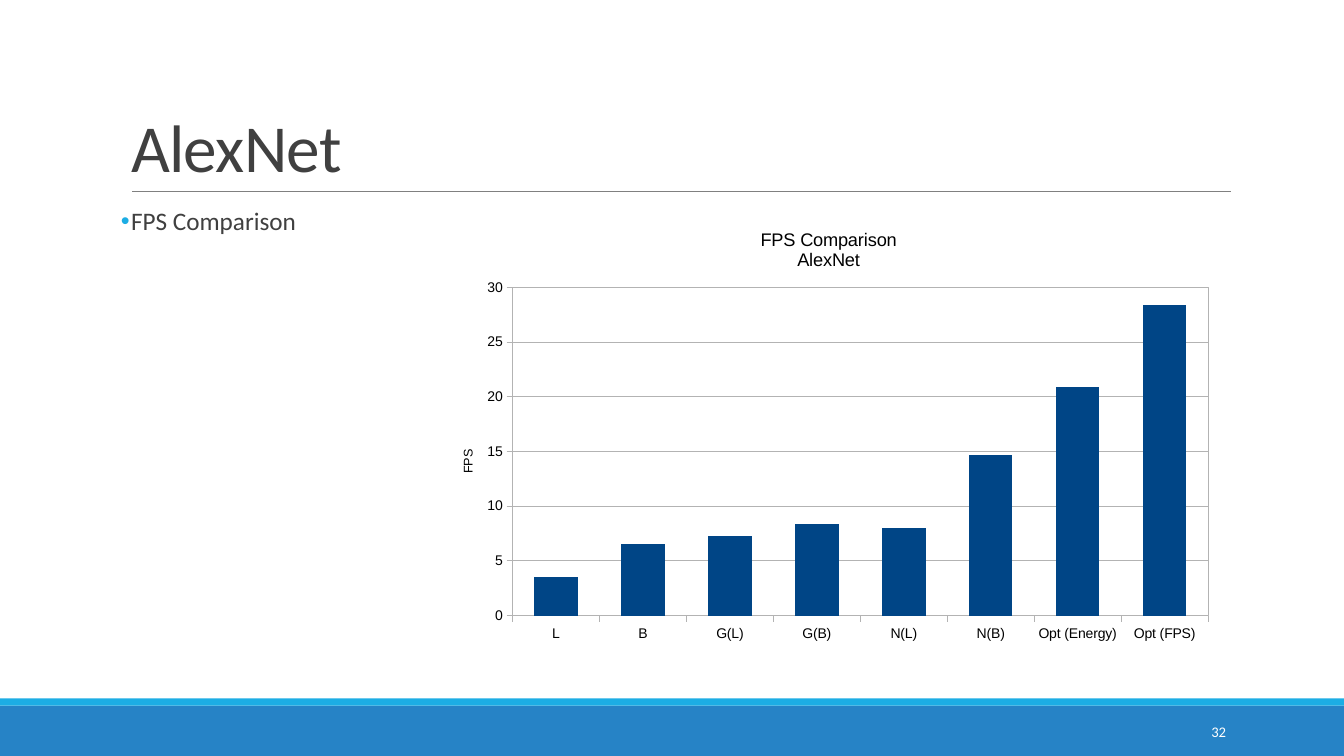
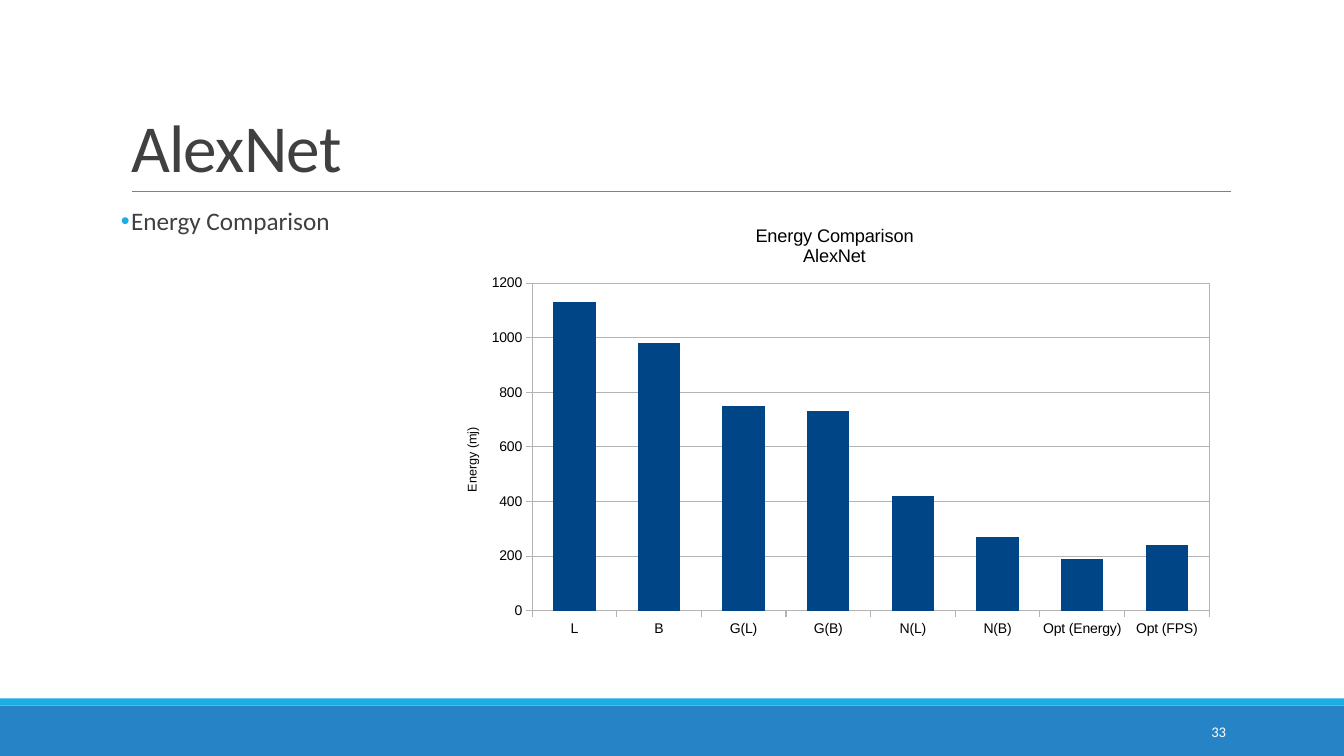
from lxml import etree
from pptx import Presentation
from pptx.chart.data import CategoryChartData
from pptx.dml.color import RGBColor
from pptx.enum.chart import XL_CHART_TYPE, XL_TICK_MARK
from pptx.enum.shapes import MSO_CONNECTOR, MSO_SHAPE
from pptx.enum.text import MSO_ANCHOR, MSO_AUTO_SIZE, PP_ALIGN
from pptx.oxml.ns import qn
from pptx.util import Inches, Pt

COLUMN = XL_CHART_TYPE.COLUMN_CLUSTERED
OUTSIDE, NO_TICK = XL_TICK_MARK.OUTSIDE, XL_TICK_MARK.NONE
RECT, STRAIGHT = MSO_SHAPE.RECTANGLE, MSO_CONNECTOR.STRAIGHT
TOP, MIDDLE, BOTTOM = MSO_ANCHOR.TOP, MSO_ANCHOR.MIDDLE, MSO_ANCHOR.BOTTOM
LEFT, RIGHT = PP_ALIGN.LEFT, PP_ALIGN.RIGHT

COLORS = {
    "band": "2683C6", "accent": "1CADE4", "rule": "808080", "text": "404040",
    "white": "FFFFFF", "black": "000000", "grid": "B3B3B3", "bar": "004586",
}
FONT, CHART_FONT = "Calibri", "Arial"
CATEGORIES = ["L", "B", "G(L)", "G(B)", "N(L)", "N(B)", "Opt (Energy)", "Opt (FPS)"]


def rgb(name):
    return RGBColor.from_string(COLORS[name])


def add_sub(parent, tag, **attrs):
    child = etree.SubElement(parent, qn(tag))
    for key, value in attrs.items():
        child.set(key, str(value))
    return child


def set_layout(element, x, y, w=None, h=None):
    """Place a chart part by fractions of the chart's size."""
    old = element.find(qn("c:layout"))
    index = 0
    if old is not None:
        index = element.index(old)
        element.remove(old)
    layout = etree.Element(qn("c:layout"))
    manual = add_sub(layout, "c:manualLayout")
    if w is not None:
        add_sub(manual, "c:layoutTarget", val="inner")
    add_sub(manual, "c:xMode", val="edge")
    add_sub(manual, "c:yMode", val="edge")
    for key, value in (("x", x), ("y", y), ("w", w), ("h", h)):
        if value is not None:
            add_sub(manual, f"c:{key}", val=value)
    element.insert(index, layout)


class Deck:
    """Shared style and the current slide."""

    def __init__(self):
        self.prs = Presentation()
        self.prs.slide_width, self.prs.slide_height = Inches(13.33), Inches(7.5)
        self.s = None

    def new_slide(self, title, bullet, number):
        self.s = self.prs.slides.add_slide(self.prs.slide_layouts[1])
        self.band(7, 0.5, "band")
        self.band(6.93, 0.07, "accent")
        self.rule()
        self.title(title)
        self.bullet(bullet)
        self.number(number)

    # Frame
    def band(self, top, height, color):
        sp = self.s.shapes.add_shape(RECT, 0, Inches(top), self.prs.slide_width, Inches(height))
        sp.shadow.inherit = False
        sp.fill.solid()
        sp.fill.fore_color.rgb = rgb(color)
        sp.line.fill.background()

    def rule(self):
        y = Inches(1.9)
        line = self.s.shapes.add_connector(STRAIGHT, Inches(1.31), y, Inches(12.21), y)
        line.line.color.rgb = rgb("rule")
        line.line.width = Pt(0.5)
        add_sub(line._element.spPr, "a:effectLst")

    # Text
    def place(self, sp, box, anchor, side=0.1):
        sp.left, sp.top, sp.width, sp.height = (Inches(v) for v in box)
        tf = sp.text_frame
        tf.word_wrap = True
        tf.auto_size = MSO_AUTO_SIZE.NONE
        tf.vertical_anchor = anchor
        tf.margin_left = tf.margin_right = Inches(side)
        tf.margin_top = tf.margin_bottom = Inches(0.05)
        return tf.paragraphs[0]

    def run(self, p, text, size, color, font=FONT):
        r = p.add_run()
        r.text = text
        r.font.name, r.font.size, r.font.bold = font, Pt(size), False
        r.font.color.rgb = rgb(color)
        return r

    def title(self, text):
        p = self.place(self.s.shapes.title, (1.2, 0.31, 11, 1.59), BOTTOM)
        p.alignment, p.line_spacing = LEFT, 0.85
        r = self.run(p, text, 48, "text")
        r.font._element.set("spc", "-50")

    def bullet(self, text):
        p = self.place(self.s.placeholders[1], (1.2, 2.02, 11, 4.4), TOP, side=0)
        pPr = p._p.get_or_add_pPr()
        pPr.set("marL", str(Inches(0.1)))
        pPr.set("indent", str(Inches(-0.1)))
        add_sub(add_sub(pPr, "a:buClr"), "a:srgbClr", val=COLORS["accent"])
        add_sub(pPr, "a:buChar", char="•")
        p.line_spacing, p.space_before, p.space_after = 0.9, Pt(0), Pt(2)
        self.run(p, text, 18, "text")

    def number(self, value):
        box = (10.83, 7.06, 1.43, 0.4)
        sp = self.s.shapes.add_textbox(*(Inches(v) for v in box))
        p = self.place(sp, box, MIDDLE)
        p.alignment = RIGHT
        self.run(p, str(value), 10.5, "white")

    # Chart
    def chart_title(self, title, lines, size, position):
        tf = title.text_frame
        for i, text in enumerate(lines):
            p = tf.add_paragraph() if i else tf.paragraphs[0]
            self.run(p, text, size, "black", CHART_FONT)
        set_layout(title._element, *position)

    def grid_line(self, fmt):
        fmt.line.color.rgb = rgb("grid")
        fmt.line.width = Pt(0.75)

    def column_chart(self, box, values, top, step, title, unit, plot, title_at, unit_at):
        data = CategoryChartData()
        data.categories = CATEGORIES
        data.add_series("Series 1", values)
        frame = self.s.shapes.add_chart(COLUMN, *(Inches(v) for v in box), data)
        chart = frame.chart
        chart.has_legend = False
        chart.font.name, chart.font.size = CHART_FONT, Pt(10)
        chart.font.color.rgb = rgb("black")
        chart.has_title = True
        self.chart_title(chart.chart_title, title, 13, title_at)

        # Axes
        cat_axis, val_axis = chart.category_axis, chart.value_axis
        for axis in (cat_axis, val_axis):
            axis.major_tick_mark, axis.minor_tick_mark = OUTSIDE, NO_TICK
            self.grid_line(axis.format)
        val_axis.minimum_scale, val_axis.maximum_scale = 0, top
        val_axis.major_unit = step
        val_axis.has_major_gridlines = True
        self.grid_line(val_axis.major_gridlines.format)
        val_axis.has_title = True
        self.chart_title(val_axis.axis_title, [unit], 9, unit_at)

        # Columns
        columns = chart.plots[0]
        columns.vary_by_categories = False
        columns.gap_width = 100
        fill = columns.series[0].format.fill
        fill.solid()
        fill.fore_color.rgb = rgb("bar")

        # Plot frame
        area = chart._chartSpace.chart.plotArea
        set_layout(area, *plot)
        spPr = add_sub(area, "c:spPr")
        add_sub(spPr, "a:noFill")
        ln = add_sub(spPr, "a:ln", w=Pt(0.75))
        add_sub(add_sub(ln, "a:solidFill"), "a:srgbClr", val=COLORS["grid"])


def main():
    deck = Deck()

    # Frames per second
    deck.new_slide("AlexNet", "FPS Comparison", 32)
    deck.column_chart(
        (4.3, 2.06, 7.84, 4.4), [3.5, 6.5, 7.3, 8.4, 8, 14.7, 20.9, 28.4], 30, 5,
        ["FPS Comparison", "AlexNet"], "FPS",
        plot=(0.1, 0.18, 0.88, 0.74), title_at=(0.41, 0.04), unit_at=(0.03, 0.54))

    # Energy
    deck.new_slide("AlexNet", "Energy Comparison", 33)
    deck.column_chart(
        (4.34, 2.02, 7.81, 4.39), [1130, 980, 750, 730, 420, 270, 190, 240], 1200, 200,
        ["Energy Comparison", "AlexNet"], "Energy (mj)",
        plot=(0.12, 0.18, 0.86, 0.74), title_at=(0.4, 0.04), unit_at=(0.03, 0.5))

    deck.prs.save("out.pptx")


if __name__ == "__main__":
    main()
